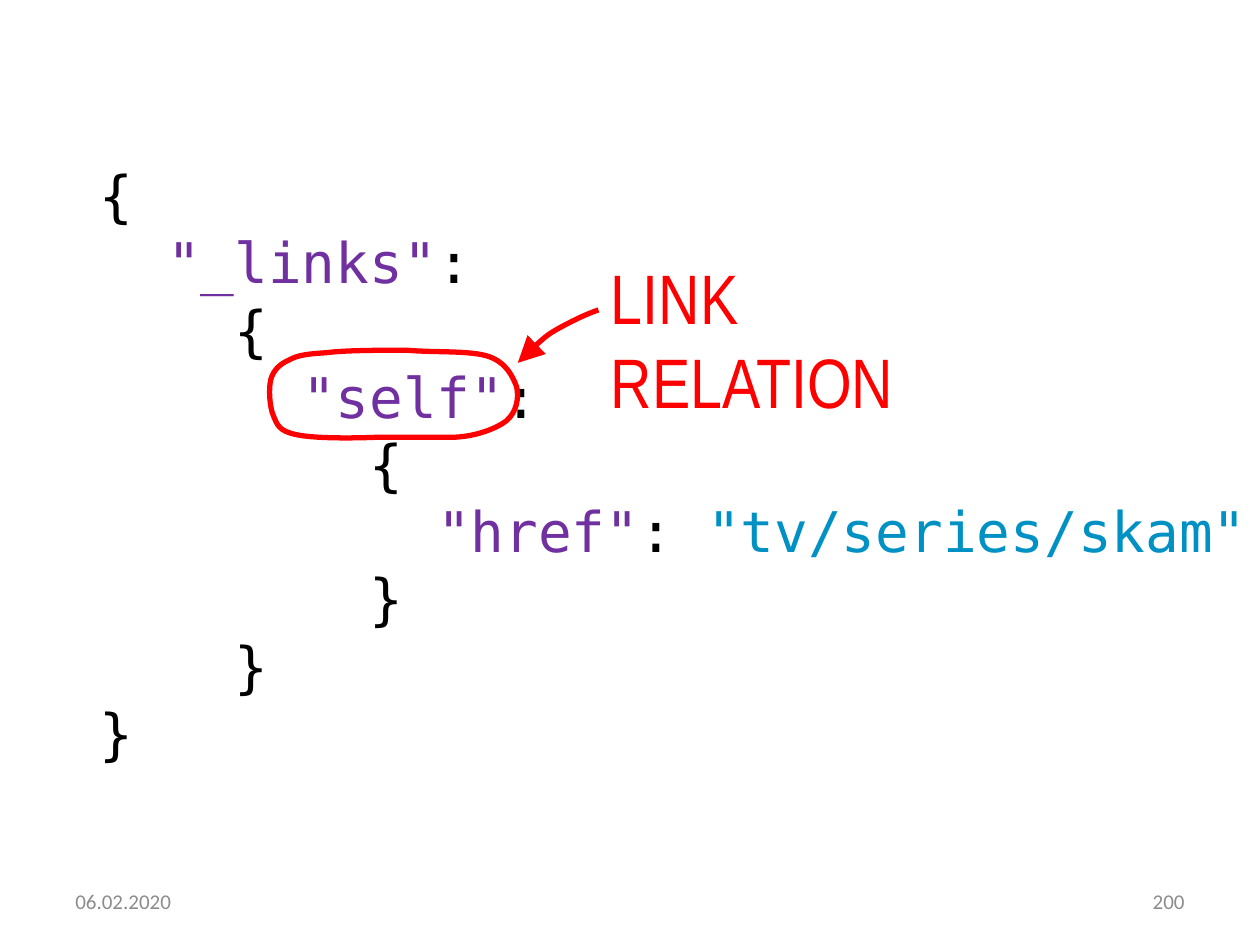
import pptx
import pptx.util
import pptx.dml.color
import pptx.enum.text
import pptx.oxml
import pptx.oxml.ns

Inches = pptx.util.Inches
Pt = pptx.util.Pt
RGBColor = pptx.dml.color.RGBColor
PP_ALIGN = pptx.enum.text.PP_ALIGN
MSO_ANCHOR = pptx.enum.text.MSO_ANCHOR
qn = pptx.oxml.ns.qn
A_NS = pptx.oxml.ns.nsdecls("a")

BLACK = RGBColor(0x00, 0x00, 0x00)
GRAY = RGBColor(0x8C, 0x8C, 0x8C)
PURPLE = RGBColor(0x70, 0x30, 0xA0)
BLUE = RGBColor(0x00, 0x91, 0xC4)
RED = RGBColor(0xFF, 0x00, 0x00)

CODE = [
    [("{", BLACK)],
    [("  ", BLACK), ('"_links"', PURPLE), (":", BLACK)],
    [("    {", BLACK)],
    [("      ", BLACK), ('"self"', PURPLE), (":", BLACK)],
    [("        {", BLACK)],
    [("          ", BLACK), ('"href"', PURPLE), (": ", BLACK),
     ('"tv/series/skam"', BLUE)],
    [("        }", BLACK)],
    [("    }", BLACK)],
    [("}", BLACK)],
]

RING_START = (2.17, 3.3)
RING = [
    [(2.14, 3.23), (2.13, 3.09), (2.15, 3.01)],
    [(2.17, 2.94), (2.22, 2.89), (2.29, 2.86)],
    [(2.36, 2.82), (2.43, 2.81), (2.59, 2.8)],
    [(2.74, 2.78), (3.01, 2.78), (3.23, 2.78)],
    [(3.45, 2.8), (3.73, 2.78), (3.88, 2.83)],
    [(4.02, 2.88), (4.07, 2.99), (4.1, 3.07)],
    [(4.12, 3.16), (4.1, 3.27), (4.02, 3.34)],
    [(3.94, 3.4), (3.79, 3.46), (3.62, 3.47)],
    [(3.02, 3.47)],
    [(2.78, 3.48), (2.49, 3.48), (2.35, 3.45)],
    [(2.21, 3.42), (2.2, 3.37), RING_START],
]

ARROW_START = (4.75, 2.46)
ARROW = [
    [(4.63, 2.5), (4.48, 2.58), (4.41, 2.62)],
    [(4.34, 2.66), (4.19, 2.79), (4.11, 2.88)],
]


def add_text_box(slide, left, top, width, height, anchor):
    sp = slide.shapes.add_textbox(Inches(left), Inches(top),
                                  Inches(width), Inches(height))
    tf = sp.text_frame
    tf.word_wrap = True
    tf.vertical_anchor = anchor
    return tf


def set_font(p, name, size):
    p.font.name = name
    p.font.size = Pt(size)


def add_label(slide, text, box, anchor, font, size, color, align=PP_ALIGN.LEFT):
    p = add_text_box(slide, *box, anchor).paragraphs[0]
    p.text = text
    p.alignment = align
    set_font(p, font, size)
    p.font.color.rgb = color


def add_code(slide, lines):
    tf = add_text_box(slide, 0, 1.2, 10, 4.95, MSO_ANCHOR.MIDDLE)
    tf.margin_left = Inches(0.79)
    for i, line in enumerate(lines):
        p = tf.add_paragraph() if i else tf.paragraphs[0]
        set_font(p, "DejaVu Sans Mono", 32)
        for text, color in line:
            r = p.add_run()
            r.text = text
            r.font.color.rgb = color


def bend_segments(sp, segments):
    line_tos = iter(list(sp.element.iter(qn("a:lnTo"))))
    for segment in segments:
        parts = [next(line_tos) for _ in segment]
        if len(parts) == 3:
            curve = pptx.oxml.parse_xml(f"<a:cubicBezTo {A_NS}/>")
            parts[0].addprevious(curve)
            for part in parts:
                curve.append(part[0])
                part.getparent().remove(part)


def add_curve(slide, start, segments, close=False):
    x, y = start
    builder = slide.shapes.build_freeform(Inches(x), Inches(y))
    points = [(Inches(px), Inches(py))
              for segment in segments for px, py in segment]
    builder.add_line_segments(points, close=close)
    sp = builder.convert_to_shape()
    bend_segments(sp, segments)
    sp.shadow.inherit = False
    sp.fill.background()
    sp.line.color.rgb = RED
    sp.line.width = Pt(3)
    return sp


def add_arrowhead(sp):
    ln = sp.element.spPr.find(qn("a:ln"))
    ln.append(pptx.oxml.parse_xml(
        f'<a:tailEnd {A_NS} type="triangle" w="lg" len="lg"/>'))


def main():
    prs = pptx.Presentation()
    prs.slide_width = Inches(10)
    prs.slide_height = Inches(7.5)
    slide = prs.slides.add_slide(prs.slide_layouts[6])

    add_label(slide, "06.02.2020", (0.5, 6.95, 2.33, 0.4),
              MSO_ANCHOR.MIDDLE, "Calibri", 12, GRAY)
    add_label(slide, "200", (7.17, 6.95, 2.33, 0.4),
              MSO_ANCHOR.MIDDLE, "Calibri", 12, GRAY, PP_ALIGN.RIGHT)
    add_code(slide, CODE)
    add_curve(slide, RING_START, RING, close=True)
    add_label(slide, "LINK RELATION", (4.75, 1.97, 2.68, 0.77),
              MSO_ANCHOR.TOP, "Arial Narrow", 40, RED)
    add_arrowhead(add_curve(slide, ARROW_START, ARROW))

    prs.save("out.pptx")


if __name__ == "__main__":
    main()
